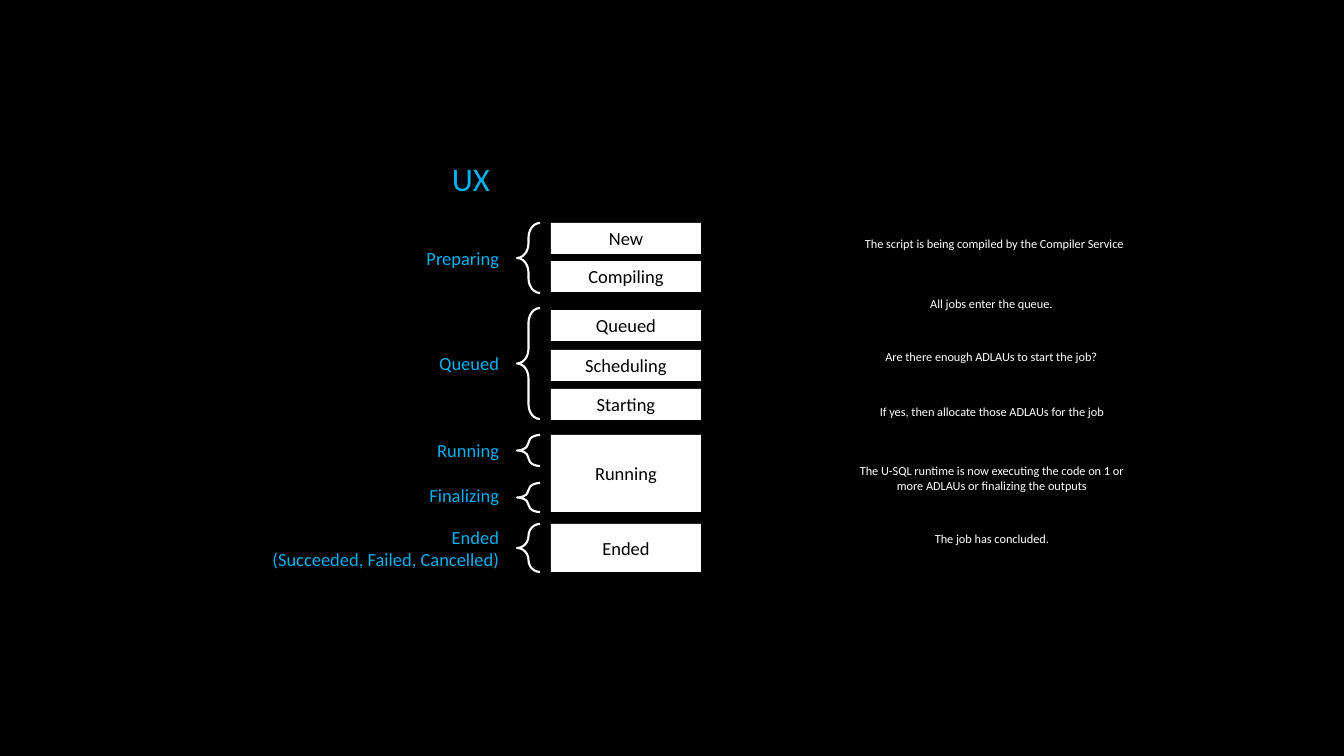
from pptx import Presentation
from pptx.dml.color import RGBColor
from pptx.enum.shapes import MSO_SHAPE as Preset
from pptx.enum.text import MSO_ANCHOR as Anchor, PP_ALIGN as Align
from pptx.util import Emu, Pt

EMU_PER_PX = 914400 / 100.8
BLACK, WHITE, BLUE = "000000", "FFFFFF", "00B0F0"

LABEL_LEFT, LABEL_WIDTH = 209, 300
BRACE_LEFT, BRACE_WIDTH = 517, 23
STATE_LEFT, STATE_WIDTH = 551, 150
NOTE_LEFT = 842

# Lines of the label, its top and height, brace top and height
PHASES = [
    (["Preparing"], 223, 71, 223, 70),
    (["Queued"], 308, 111, 308, 111),
    (["Running"], 435, 31, 435, 31),
    (["Finalizing"], 480, 31, 483, 29),
    (["Ended", "(Succeeded, Failed, Cancelled)"], 524, 48, 524, 48),
]

# Name, top, height
STATES = [
    ("New", 223, 31),
    ("Compiling", 261, 31),
    ("Queued", 310, 31),
    ("Scheduling", 350, 31),
    ("Starting", 389, 31),
    ("Running", 435, 77),
    ("Ended", 524, 48),
]

# Text, top, width, height, pointer tip
NOTES = [
    ("The script is being compiled by the Compiler Service", 223, 305, 42, (-0.94, 0.79)),
    ("All jobs enter the queue.", 286, 299, 36, (-0.97, 0.53)),
    ("Are there enough ADLAUs to start the job?", 331, 299, 52, (-0.95, 0.19)),
    ("If yes, then allocate those ADLAUs for the job", 389, 300, 45, (-0.94, -0.24)),
    ("The U-SQL runtime is now executing the code on 1 or more ADLAUs"
     " or finalizing the outputs", 450, 300, 56, (-0.96, -0.18)),
    ("The job has concluded.", 522, 300, 33, (-0.94, 0.04)),
]


def px(length):
    return Emu(round(length * EMU_PER_PX))


def color(hex_string):
    return RGBColor.from_string(hex_string)


class JobStateSlide:
    font_name = "Calibri"

    def __init__(self, presentation):
        self.slide = presentation.slides.add_slide(presentation.slide_layouts[6])
        background = self.slide.background.fill
        background.solid()
        background.fore_color.rgb = color(BLACK)

    def set_text(self, shape, lines, size, text_color, align):
        frame = shape.text_frame
        for name, value in {"word_wrap": True, "vertical_anchor": Anchor.MIDDLE}.items():
            setattr(frame, name, value)
        frame.text = "\n".join(lines)
        for paragraph in frame.paragraphs:
            paragraph.alignment = align
            font = paragraph.runs[0].font
            for name, value in {"name": self.font_name, "size": Pt(size)}.items():
                setattr(font, name, value)
            font.color.rgb = color(text_color)

    def preset(self, kind, box, adjustments=()):
        shape = self.slide.shapes.add_shape(kind, *map(px, box))
        shape.shadow.inherit = False
        for index, value in enumerate(adjustments):
            shape.adjustments[index] = value
        return shape

    def label(self, lines, box, size=13.2):
        text_box = self.slide.shapes.add_textbox(*map(px, box))
        self.set_text(text_box, lines, size, BLUE, Align.RIGHT)

    def panel(self, kind, text, box, size, fill, text_color, adjustments=()):
        """Add a filled shape without outline that holds centred text."""
        shape = self.preset(kind, box, adjustments)
        shape.fill.solid()
        shape.fill.fore_color.rgb = color(fill)
        shape.line.fill.background()
        self.set_text(shape, [text], size, text_color, Align.CENTER)

    def state(self, text, box):
        self.panel(Preset.RECTANGLE, text, box, 13.2, WHITE, BLACK)

    def note(self, text, box, tip):
        self.panel(Preset.RECTANGULAR_CALLOUT, text, box, 8.8, BLACK, WHITE, tip)

    def brace(self, box):
        shape = self.preset(Preset.LEFT_BRACE, box, (0.64, 0.5))
        shape.fill.background()
        shape.line.color.rgb = color(WHITE)
        shape.line.width = Pt(1.5)


def main():
    presentation = Presentation()
    presentation.slide_width, presentation.slide_height = px(1344), px(756)
    slide = JobStateSlide(presentation)

    for lines, top, height, _, _ in PHASES:
        slide.label(lines, (LABEL_LEFT, top, LABEL_WIDTH, height))
    for text, top, height in STATES:
        slide.state(text, (STATE_LEFT, top, STATE_WIDTH, height))
    slide.label(["UX"], (241, 149, 259, 58), size=23.5)
    for text, top, width, height, tip in NOTES:
        slide.note(text, (NOTE_LEFT, top, width, height), tip)
    for _, _, _, top, height in PHASES:
        slide.brace((BRACE_LEFT, top, BRACE_WIDTH, height))

    presentation.save("out.pptx")


if __name__ == "__main__":
    main()
